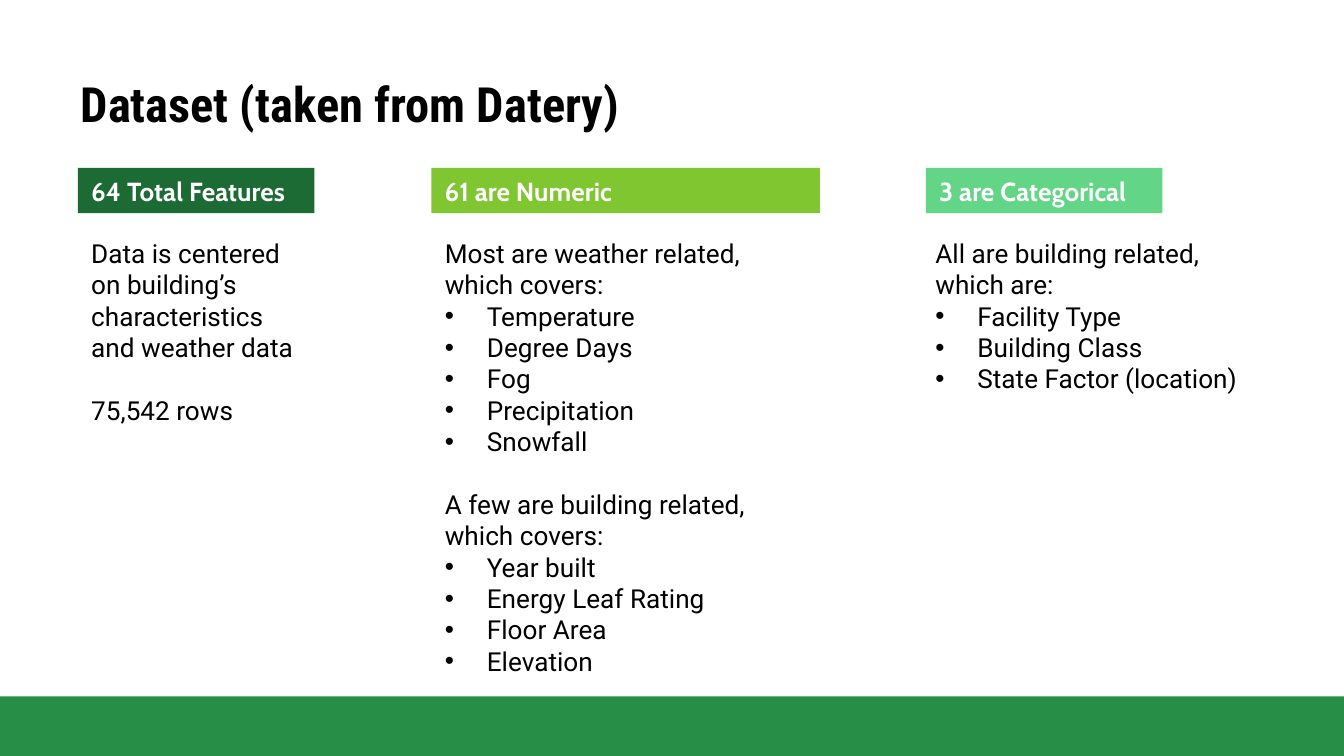
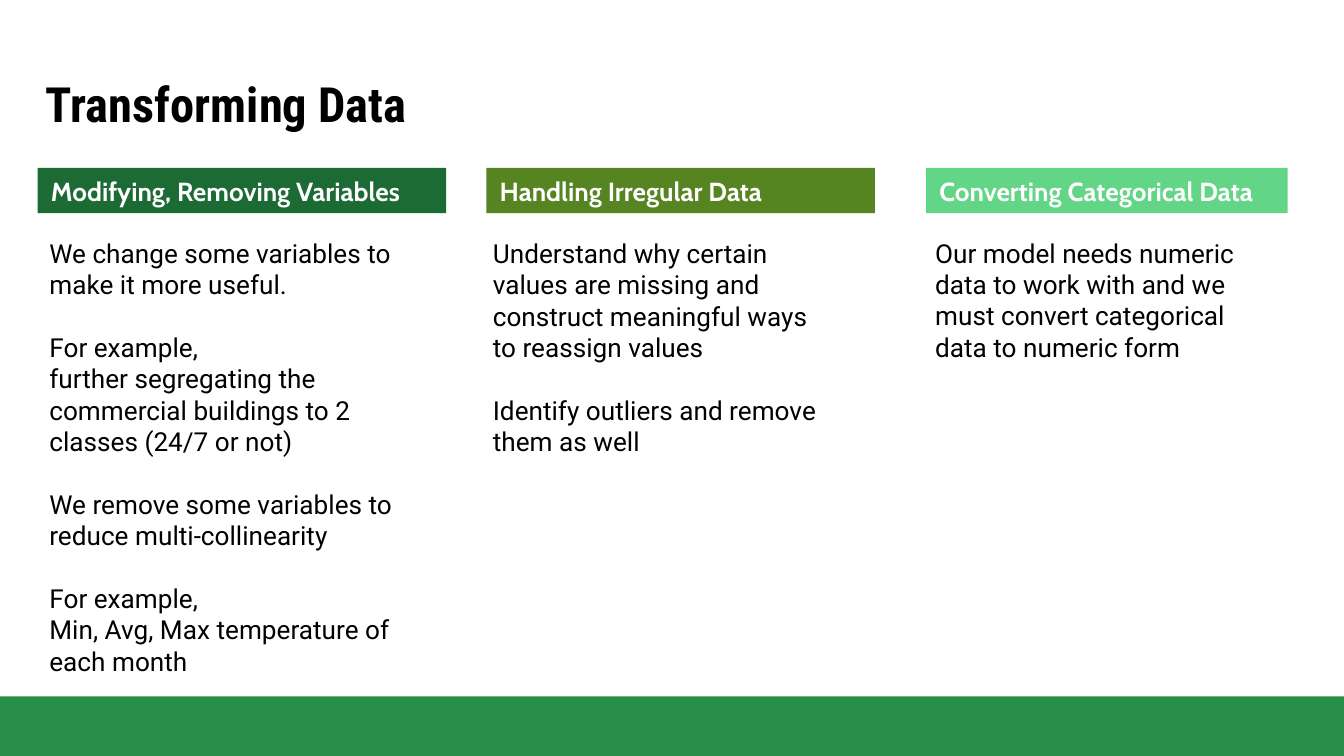
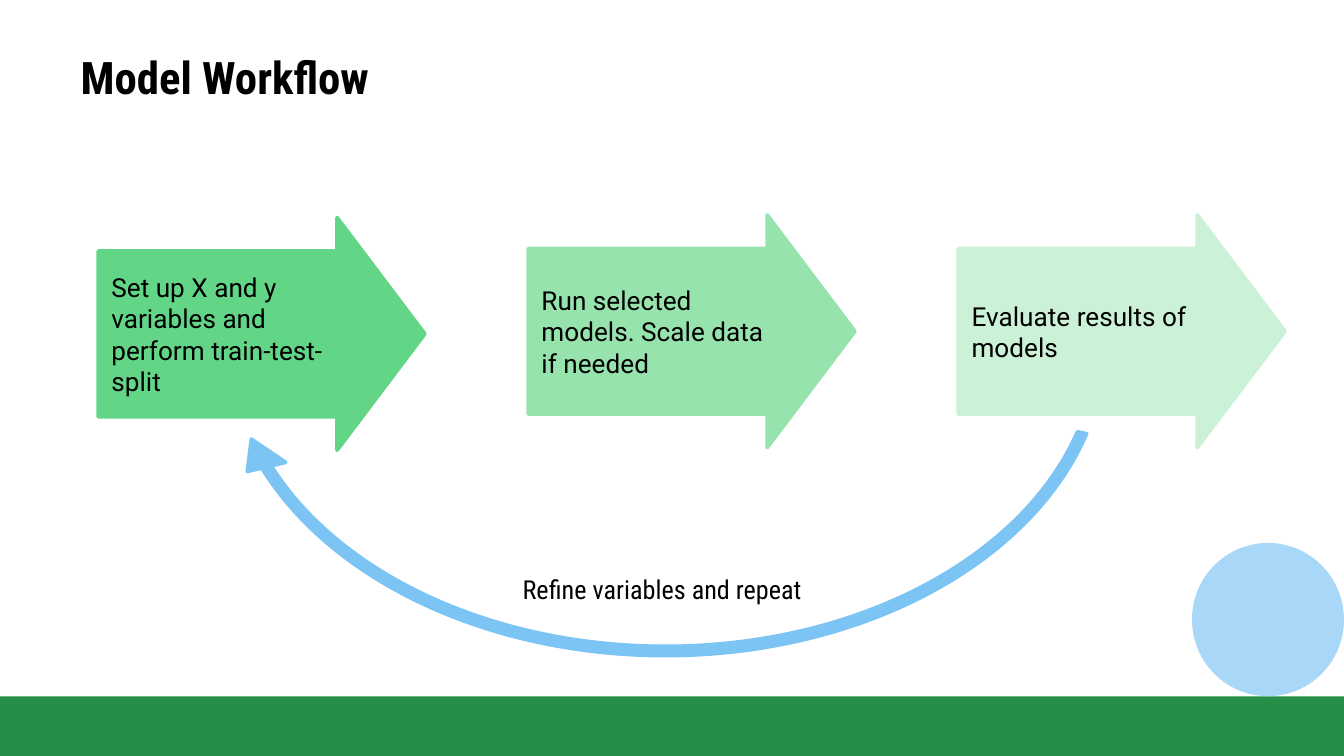
"""Build three slides on a building energy dataset, its preparation and the model workflow."""
from dataclasses import dataclass

from lxml.etree import SubElement
from pptx import Presentation
from pptx.dml.color import RGBColor
from pptx.enum.shapes import MSO_SHAPE
from pptx.enum.text import MSO_ANCHOR, MSO_AUTO_SIZE, PP_ALIGN
from pptx.oxml.ns import qn
from pptx.util import Pt

WHITE = RGBColor(0xFF, 0xFF, 0xFF)
BLACK = RGBColor(0x00, 0x00, 0x00)
FOOTER_GREEN = RGBColor(0x26, 0x8E, 0x46)
DARK_GREEN = RGBColor(0x1C, 0x6A, 0x34)
LIME = RGBColor(0x7F, 0xC6, 0x31)
OLIVE = RGBColor(0x55, 0x84, 0x21)
MINT = RGBColor(0x63, 0xD5, 0x86)
LIGHT_MINT = RGBColor(0x97, 0xE3, 0xAE)
PALE_MINT = RGBColor(0xCB, 0xF1, 0xD7)
SKY = RGBColor(0x7C, 0xC4, 0xF4)
PALE_SKY = RGBColor(0xA8, 0xD7, 0xF7)

HEAD_FONT = "Cabin"
BODY_FONT = "Roboto"
TITLE_FONT = "Roboto Condensed"
TEXT_SIZE = 14
LINE_GAP = 16.8
BULLET_INDENT = 22.5
SLIDE_W, SLIDE_H = 720, 405
FOOTER_TOP = 373
HEADER_TOP, HEADER_H = 90, 24.2
BODY_TOP = 123.5
TWO_CONTENT, TITLE_ONLY = 3, 5


@dataclass
class Para:
    text: str
    bullet: bool = False
    gap: bool = False


@dataclass
class Column:
    heading: str
    color: RGBColor
    head_left: float
    head_w: float
    body_left: float
    body_w: float
    body_h: float
    paras: list[Para]

    @property
    def is_list(self) -> bool:
        return any(para.bullet for para in self.paras)


@dataclass
class Step:
    text: str
    color: RGBColor
    top: float


def bullets(*texts: str) -> list[Para]:
    return [Para(text, bullet=True) for text in texts]


DATASET = [
    Column("64 Total Features", DARK_GREEN, 41.8, 126.7, 41.8, 126.7, 108.7, [
        Para("Data is centered on building’s characteristics and weather data"),
        Para("75,542 rows", gap=True),
    ]),
    Column("61 are Numeric", LIME, 231.1, 208.1, 231.1, 190.1, 244.8, [
        Para("Most are weather related, which covers:"),
        *bullets("Temperature", "Degree Days", "Fog", "Precipitation", "Snowfall"),
        Para("A few are building related, which covers:", gap=True),
        *bullets("Year built", "Energy Leaf Rating", "Floor Area", "Elevation"),
    ]),
    Column("3 are Categorical", MINT, 496.1, 126.7, 493.9, 190.1, 92.2, [
        Para("All are building related, which are:"),
        *bullets("Facility Type", "Building Class", "State Factor (location)"),
    ]),
]

TRANSFORMING = [
    Column("Modifying, Removing Variables", DARK_GREEN, 20.2, 218.9, 19.4, 216, 295.9, [
        Para("We change some variables to make it more useful."),
        Para("For example,", gap=True),
        Para("further segregating the commercial buildings to 2 classes (24/7 or not)"),
        Para("We remove some variables to reduce multi-collinearity", gap=True),
        Para("For example,", gap=True),
        Para("Min, Avg, Max temperature of each month"),
    ]),
    Column("Handling Irregular Data", OLIVE, 260.6, 208.1, 257, 190.1, 126, [
        Para("Understand why certain values are missing and construct "
             "meaningful ways to reassign values"),
        Para("Identify outliers and remove them as well", gap=True),
    ]),
    Column("Converting Categorical Data", MINT, 496.1, 193.7, 493.9, 190.1, 74.9, [
        Para("Our model needs numeric data to work with and we must convert "
             "categorical data to numeric form"),
    ]),
]

STEPS = [
    Step("Set up X and y variables and perform train-test-split", MINT, 116.6),
    Step("Run selected models. Scale data if needed", LIGHT_MINT, 115.2),
    Step("Evaluate results of models", PALE_MINT, 115.2),
]


def place(sp, left: float, top: float, w: float, h: float) -> None:
    sp.left, sp.top, sp.width, sp.height = Pt(left), Pt(top), Pt(w), Pt(h)


def format_para(p, font: str, size: float = TEXT_SIZE, color: RGBColor = BLACK,
                bold: bool = False) -> None:
    p.alignment = PP_ALIGN.LEFT
    for r in p.runs:
        r.font.name = font
        r.font.size = Pt(size)
        r.font.bold = bold
        r.font.color.rgb = color


def add_block(slide, kind, left: float, top: float, w: float, h: float,
              color: RGBColor, line_w: float = 0):
    sp = slide.shapes.add_shape(kind, Pt(left), Pt(top), Pt(w), Pt(h))
    sp.shadow.inherit = False
    sp.fill.solid()
    sp.fill.fore_color.rgb = color
    if line_w:
        sp.line.color.rgb = color
        sp.line.width = Pt(line_w)
    else:
        sp.line.fill.background()
    return sp


def add_slide(prs, layout: int, title: str, left: float = 36, top: float = 32.4,
              size: float = 26):
    slide = prs.slides.add_slide(prs.slide_layouts[layout])
    sp = slide.shapes.title
    place(sp, left, top, 648, 45.4)
    tf = sp.text_frame
    tf.text = title
    tf.auto_size = MSO_AUTO_SIZE.NONE
    tf.vertical_anchor = MSO_ANCHOR.TOP
    tf.margin_left = tf.margin_top = tf.margin_right = tf.margin_bottom = Pt(7.2)
    format_para(tf.paragraphs[0], TITLE_FONT, size, bold=True)
    add_block(slide, MSO_SHAPE.RECTANGLE, 0, FOOTER_TOP, SLIDE_W,
              SLIDE_H - FOOTER_TOP, FOOTER_GREEN)
    return slide


def set_bullet(p, bullet: bool) -> None:
    pPr = p._p.get_or_add_pPr()
    indent = Pt(BULLET_INDENT) if bullet else 0
    pPr.set("marL", str(indent))
    pPr.set("indent", str(-indent))
    if bullet:
        SubElement(pPr, qn("a:buFont")).set("typeface", "Arial")
        SubElement(pPr, qn("a:buChar")).set("char", "•")
    else:
        SubElement(pPr, qn("a:buNone"))


def fill_body(sp, paras: list[Para]) -> None:
    tf = sp.text_frame
    tf.word_wrap = True
    tf.auto_size = MSO_AUTO_SIZE.NONE
    tf.text = "\n".join(para.text for para in paras)
    for p, para in zip(tf.paragraphs, paras):
        set_bullet(p, para.bullet)
        p.space_before = Pt(LINE_GAP if para.gap else 0)
        format_para(p, BODY_FONT)


def add_columns(slide, columns: list[Column]) -> None:
    bodies = iter([ph for ph in slide.placeholders if ph.placeholder_format.idx > 0])
    for col in columns:
        head = add_block(slide, MSO_SHAPE.RECTANGLE, col.head_left, HEADER_TOP,
                         col.head_w, HEADER_H, col.color)
        head.text_frame.text = col.heading
        format_para(head.text_frame.paragraphs[0], HEAD_FONT, color=WHITE, bold=True)
        box = (col.body_left, BODY_TOP, col.body_w, col.body_h)
        if col.is_list:
            sp = next(bodies)
            place(sp, *box)
        else:
            sp = slide.shapes.add_textbox(*map(Pt, box))
        fill_body(sp, col.paras)


def add_workflow(slide) -> None:
    add_block(slide, MSO_SHAPE.OVAL, 638.6, 290.9, 81.4, 82.1, PALE_SKY)
    for i, step in enumerate(STEPS):
        sp = add_block(slide, MSO_SHAPE.RIGHT_ARROW, 52.6 + 230.4 * i, step.top,
                       175, 124.6, step.color, 2)
        sp.adjustments[0], sp.adjustments[1] = 0.712, 0.377
        sp.text_frame.text = step.text
        format_para(sp.text_frame.paragraphs[0], BODY_FONT)

    label = slide.shapes.add_textbox(Pt(272.9), Pt(303.8), Pt(174.2), Pt(24.2))
    label.text_frame.word_wrap = False
    label.text_frame.text = "Refine variables and repeat"
    format_para(label.text_frame.paragraphs[0], TITLE_FONT)

    loop = add_block(slide, MSO_SHAPE.CIRCULAR_ARROW, 112.3, 7.2, 488.2, 352.1, SKY, 2)
    loop.rotation = 180
    for i, value in enumerate((0.014, 2.506, 205.574, 115.362, 0.03)):
        loop.adjustments[i] = value


def main() -> None:
    prs = Presentation()
    prs.slide_width, prs.slide_height = Pt(SLIDE_W), Pt(SLIDE_H)
    add_columns(add_slide(prs, TWO_CONTENT, "Dataset (taken from Datery)"), DATASET)
    add_columns(add_slide(prs, TITLE_ONLY, "Transforming Data", left=17.3), TRANSFORMING)
    add_workflow(add_slide(prs, TITLE_ONLY, "Model Workflow", top=19.4, size=24))
    prs.save("out.pptx")


if __name__ == "__main__":
    main()
